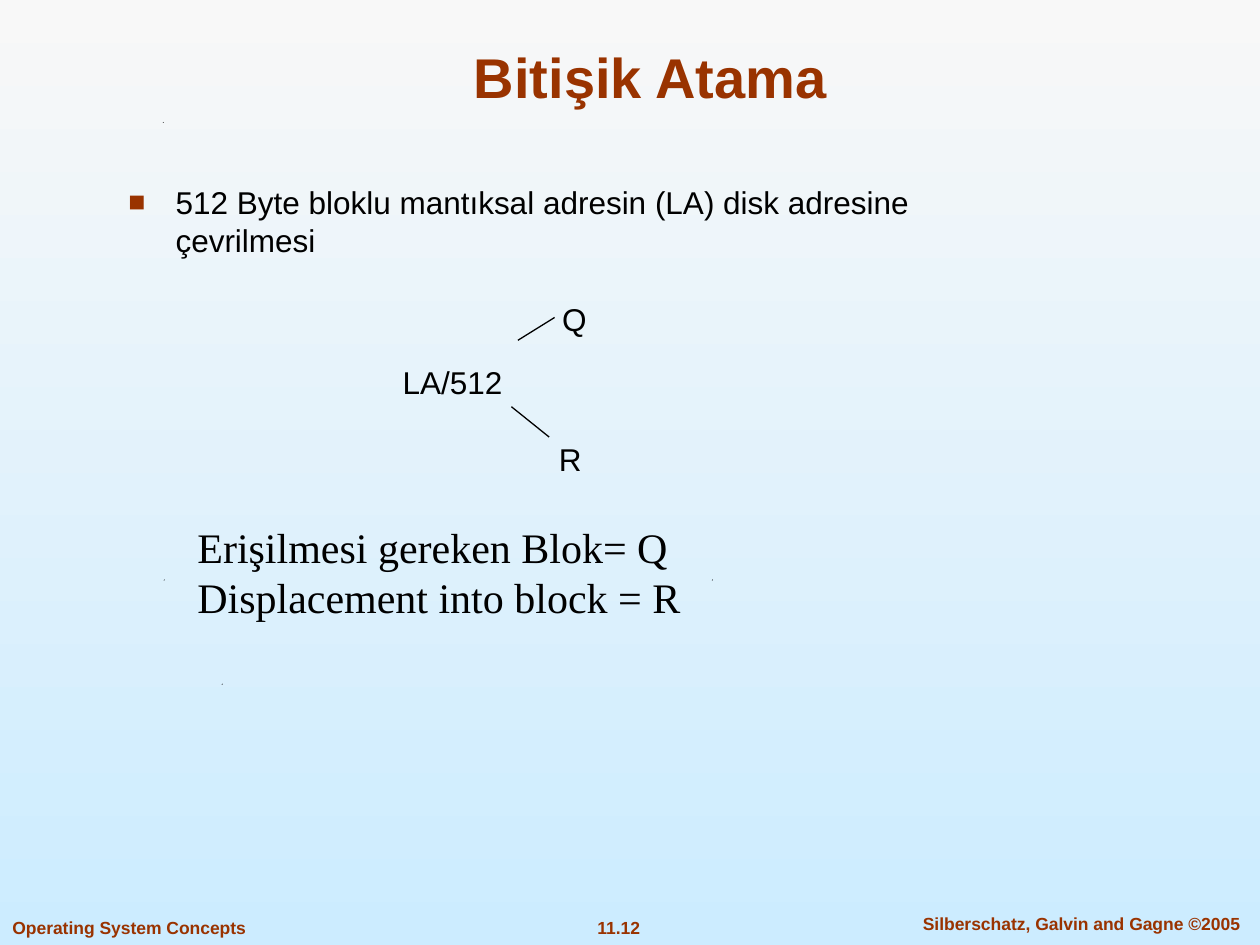
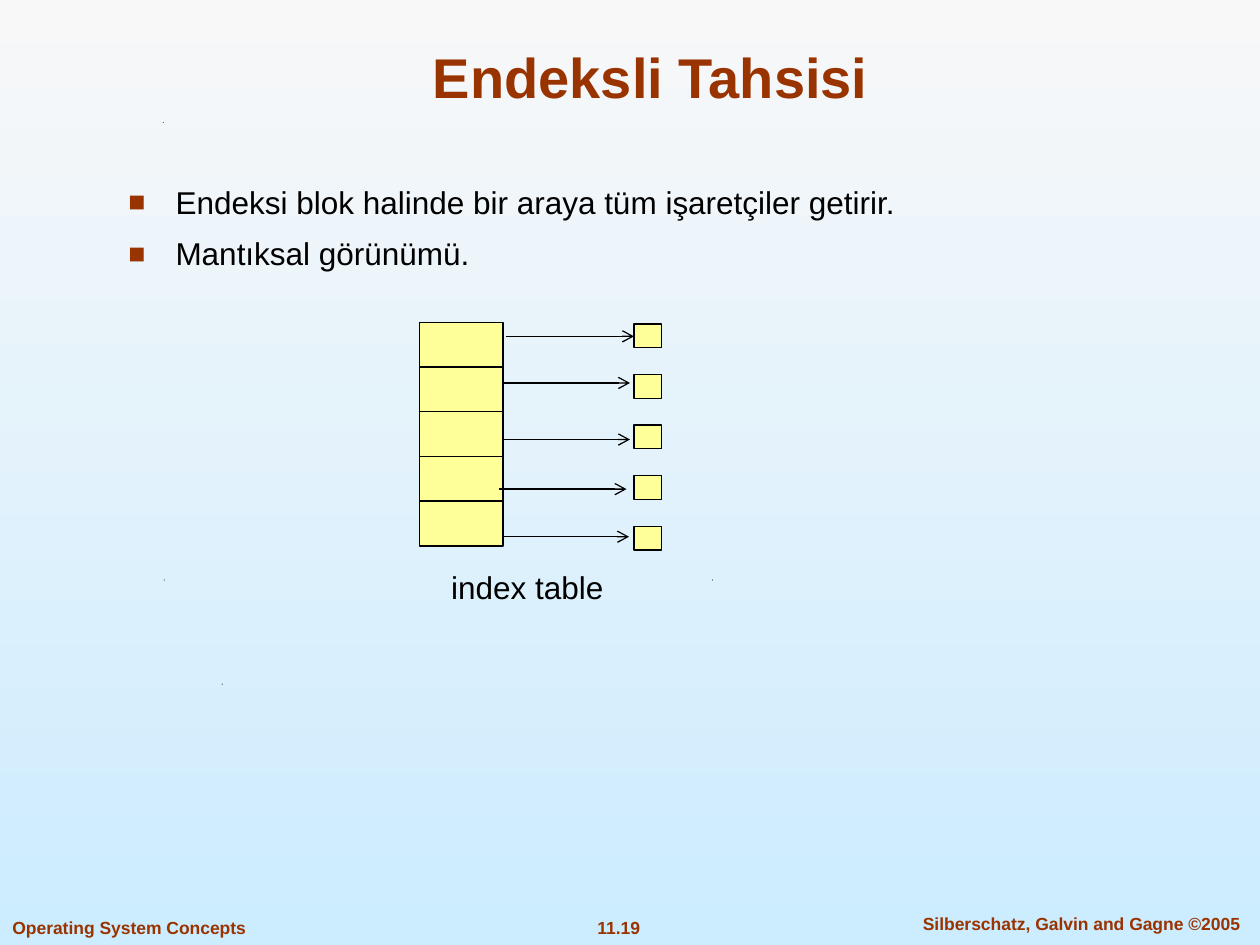
from lxml.etree import SubElement
from pptx import Presentation
from pptx.dml.color import RGBColor
from pptx.enum.shapes import MSO_CONNECTOR, MSO_SHAPE
from pptx.enum.text import MSO_ANCHOR, PP_ALIGN
from pptx.oxml.ns import qn
from pptx.util import Cm, Pt

RUST, BLACK, CREAM = "993300", "000000", "FFFF99"
SKY = ("F8F8F8", "CCECFF")
BOOK = "Operating System Concepts"
CREDIT = "Silberschatz, Galvin and Gagne ©2005"
SPECKS = [(4.47, 13.78), (3.3, 11.68), (14.35, 11.68), (3.28, 2.46)]

PAGES = [
    {
        "title": "Bitişik Atama",
        "page": "11.12",
        "points": ["512 Byte bloklu mantıksal adresin (LA) disk adresine çevrilmesi"],
        "body": (2.34, 3.56, 18.24, 9.6),
    },
    {
        "title": "Endeksli Tahsisi",
        "page": "11.19",
        "points": [
            "Endeksi blok halinde bir araya tüm işaretçiler getirir.",
            "Mantıksal görünümü.",
        ],
        "body": (2.34, 3.56, 20.42, 2.59),
    },
]
TERMS = [
    ("LA/512", (7.37, 7.19, 3.51, 1.02)),
    ("Q", (10.46, 5.92, 2.24, 1.02)),
    ("R", (10.62, 8.74, 1.75, 1.02)),
]
FORKS = [((10.44, 6.86), (11.18, 6.4)), ((10.31, 8.2), (11.07, 8.81))]
RESULT = ["Erişilmesi gereken Blok= Q", "Displacement into block = R"]

ROWS = 5
CELL, CELL_STEP = (8.46, 6.5, 1.68, 0.91), 0.9
BLOCK, BLOCK_STEP = (12.78, 6.53, 0.56, 0.48), 1.02
STARTS = [(10.21, 6.78), (10.13, 7.72), (10.13, 8.86), (10.06, 9.86), (10.11, 10.82)]
REACH = 2.57


def color(code):
    return RGBColor.from_string(code)


def place(box):
    return [Cm(n) for n in box]


def write(slide, box, lines, size=18, ink=BLACK, font="Arial", bold=False,
          align=PP_ALIGN.LEFT, anchor=MSO_ANCHOR.TOP, before=0, wrap=True):
    frame = slide.shapes.add_textbox(*place(box)).text_frame
    frame.text = "\n".join(lines)
    frame.word_wrap = wrap
    frame.vertical_anchor = anchor
    for para in frame.paragraphs:
        para.alignment = align
        para.space_before = Pt(before)
        for run in para.runs:
            face = run.font
            face.name, face.size, face.bold = font, Pt(size), bold
            face.color.rgb = color(ink)
    return frame


def indent(frame, left, first=0):
    for para in frame.paragraphs:
        props = para._p.get_or_add_pPr()
        props.set("marL", str(Cm(left)))
        props.set("indent", str(Cm(first)))


def bullet(frame):
    indent(frame, 0.95, -0.95)
    for para in frame.paragraphs:
        props = para._p.get_or_add_pPr()
        tint = SubElement(props, qn("a:buClr"))
        SubElement(tint, qn("a:srgbClr"), val=RUST)
        SubElement(props, qn("a:buSzPct"), val="90000")
        SubElement(props, qn("a:buFont"), typeface="Arial")
        SubElement(props, qn("a:buChar"), char="■")


def label(slide, text, box, wrap=True):
    write(slide, box, [text], align=PP_ALIGN.CENTER, anchor=MSO_ANCHOR.MIDDLE,
          before=11.2, wrap=wrap)


def link(slide, start, end, arrow=False):
    line = slide.shapes.add_connector(MSO_CONNECTOR.STRAIGHT, *place(start + end))
    line.line.color.rgb = color(BLACK)
    line.line.width = Pt(0.75)
    if arrow:
        SubElement(line.line._get_or_add_ln(), qn("a:tailEnd"), type="arrow")
    SubElement(line._element.spPr, qn("a:effectLst"))


def stack(slide, box, step):
    left, top, wide, high = box
    for row in range(ROWS):
        spot = place((left, top + row * step, wide, high))
        rect = slide.shapes.add_shape(MSO_SHAPE.RECTANGLE, *spot)
        rect.shadow.inherit = False
        rect.fill.solid()
        rect.fill.fore_color.rgb = color(CREAM)
        rect.line.color.rgb = color(BLACK)
        rect.line.width = Pt(0.75)


def speck(slide, left, top):
    pen = slide.shapes.build_freeform(Cm(left), Cm(top + 0.02))
    pen.add_line_segments([place((left + 0.02, top)), place((left + 0.02, top + 0.02))])
    dot = pen.convert_to_shape()
    dot.shadow.inherit = False
    dot.fill.solid()
    dot.fill.fore_color.rgb = color(BLACK)
    dot.line.fill.background()


def base(deck, page):
    slide = deck.slides.add_slide(deck.slide_layouts[6])
    fill = slide.background.fill
    fill.gradient()
    fill.gradient_angle = 270
    for stop, code in zip(fill.gradient_stops, SKY):
        stop.color.rgb = color(code)
    for spot in SPECKS:
        speck(slide, *spot)
    mid = PP_ALIGN.CENTER
    foot = {"size": 10, "ink": RUST, "bold": True, "before": 6.2}
    write(slide, (11.13, 18.36, 2.69, 0.69), [page["page"]], align=mid, wrap=False, **foot)
    write(slide, (18.03, 18.29, 7.54, 0.69), [CREDIT], align=mid, **foot)
    write(slide, (0, 18.36, 5.21, 0.69), [BOOK], wrap=False, **foot)
    write(slide, (1.9, 0.64, 22.43, 1.7), [page["title"]], size=32, ink=RUST,
          bold=True, align=mid, anchor=MSO_ANCHOR.BOTTOM)
    bullet(write(slide, page["body"], page["points"], before=7.9))
    return slide


def split(slide):
    for text, box in TERMS:
        label(slide, text, box)
    for start, end in FORKS:
        link(slide, start, end)
    indent(write(slide, (2.46, 10.39, 19.53, 2.29), RESULT, size=24,
                 font="Times New Roman"), 1.27)


def index(slide):
    stack(slide, CELL, CELL_STEP)
    stack(slide, BLOCK, BLOCK_STEP)
    for left, top in STARTS:
        link(slide, (left, top), (left + REACH, top), arrow=True)
    label(slide, "index table", (8.84, 11.33, 3.58, 1.02), wrap=False)


def main():
    deck = Presentation()
    deck.slide_width, deck.slide_height = Cm(25.4), Cm(19.05)
    for page, draw in zip(PAGES, (split, index)):
        draw(base(deck, page))
    deck.save("out.pptx")


if __name__ == "__main__":
    main()
